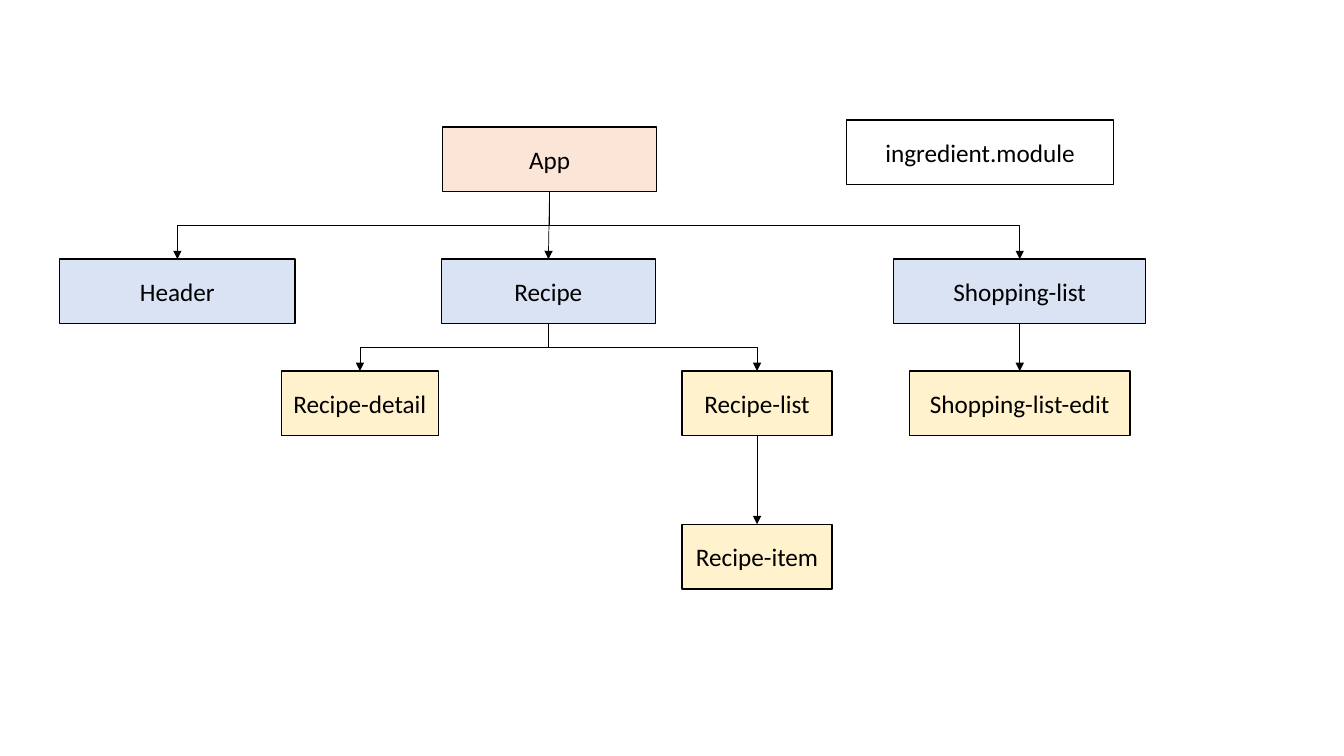
from lxml import etree
from pptx import Presentation
from pptx import util as u
from pptx.dml.color import RGBColor
from pptx.enum import shapes, text
from pptx.oxml.ns import qn

BLACK = RGBColor(0x00, 0x00, 0x00)
PEACH = RGBColor(0xFB, 0xE5, 0xD6)
BLUE = RGBColor(0xDA, 0xE3, 0xF3)
CREAM = RGBColor(0xFF, 0xF2, 0xCC)

BOTTOM, TOP = 2, 0  # connection sites of a rectangle
BOX_HEIGHT = u.Cm(1.63)


class ComponentTree:
    """Holds the slide and the style of its boxes and arrows."""

    font_format = {"name": "Calibri", "size": u.Pt(18)}
    frame_format = {"vertical_anchor": text.MSO_ANCHOR.MIDDLE, "word_wrap": False}

    def __init__(self, slide):
        self.shapes = slide.shapes

    def apply(self, target, formats):
        for key, value in formats.items():
            setattr(target, key, value)

    def box(self, label, center, top, width, fill=None):
        """Add a labelled box; center, top and width are in centimetres."""
        box = self.shapes.add_shape(
            shapes.MSO_SHAPE.RECTANGLE,
            u.Cm(center - width / 2), u.Cm(top), u.Cm(width), BOX_HEIGHT)
        box.shadow.inherit = False
        if fill is None:
            box.fill.background()
        else:
            box.fill.solid()
            box.fill.fore_color.rgb = fill
        box.line.color.rgb = BLACK
        box.line.width = u.Pt(1)
        self.apply(box.text_frame, self.frame_format)
        paragraph = box.text_frame.paragraphs[0]
        paragraph.alignment = text.PP_ALIGN.CENTER
        run = paragraph.add_run()
        run.text = label
        self.apply(run.font, self.font_format)
        run.font.color.rgb = BLACK
        return box

    def arrow(self, parent, child, kind=shapes.MSO_CONNECTOR.STRAIGHT):
        """Join the bottom of the parent to the top of the child."""
        arrow = self.shapes.add_connector(kind, 0, 0, 0, 0)
        arrow.begin_connect(parent, BOTTOM)
        arrow.end_connect(child, TOP)
        arrow.line.color.rgb = BLACK
        arrow.line.width = u.Pt(0.5)
        etree.SubElement(arrow.line._get_or_add_ln(), qn("a:tailEnd"), type="triangle")
        etree.SubElement(arrow._element.spPr, qn("a:effectLst"))
        return arrow

    def branch(self, parent, child):
        """Add an elbow arrow that leaves the parent downwards."""
        arrow = self.arrow(parent, child, shapes.MSO_CONNECTOR.ELBOW)
        start_x = parent.left + parent.width // 2
        end_x = child.left + child.width // 2
        start_y, end_y = parent.top + parent.height, child.top
        drop, reach = end_y - start_y, abs(end_x - start_x)
        self.apply(arrow, {
            "left": (start_x + end_x - drop) // 2,
            "top": (start_y + end_y - reach) // 2,
            "width": drop,
            "height": reach,
        })
        # A quarter turn makes the first leg vertical
        to_right = end_x > start_x
        xfrm = arrow._element.spPr.find(qn("a:xfrm"))
        xfrm.set("rot", "16200000" if to_right else "5400000")
        xfrm.set("flipH", "1" if to_right else "0")
        xfrm.set("flipV", "0")


def main():
    prs = Presentation()
    prs.slide_width, prs.slide_height = u.Cm(33.87), u.Cm(19.05)
    tree = ComponentTree(prs.slides.add_slide(prs.slide_layouts[6]))

    # Root component and separate module
    app = tree.box("App", 13.85, 3.2, 5.4, PEACH)
    tree.box("ingredient.module", 24.7, 3.02, 6.73)

    # Main sections
    section_top = 6.53
    header = tree.box("Header", 4.47, section_top, 5.93, BLUE)
    recipe = tree.box("Recipe", 13.82, section_top, 5.4, BLUE)
    shopping = tree.box("Shopping-list", 25.7, section_top, 6.35, BLUE)

    # Nested components
    nested_top = 9.35
    detail = tree.box("Recipe-detail", 9.07, nested_top, 3.96, CREAM)
    recipe_list = tree.box("Recipe-list", 19.08, nested_top, 3.78, CREAM)
    edit = tree.box("Shopping-list-edit", 25.7, nested_top, 5.56, CREAM)
    item = tree.box("Recipe-item", 19.08, 13.21, 3.78, CREAM)

    # Branches to the sides
    for parent, child in ((app, header), (app, shopping),
                          (recipe, recipe_list), (recipe, detail)):
        tree.branch(parent, child)

    # Straight links downwards
    for parent, child in ((app, recipe), (shopping, edit), (recipe_list, item)):
        tree.arrow(parent, child)

    prs.save("out.pptx")


if __name__ == "__main__":
    main()
